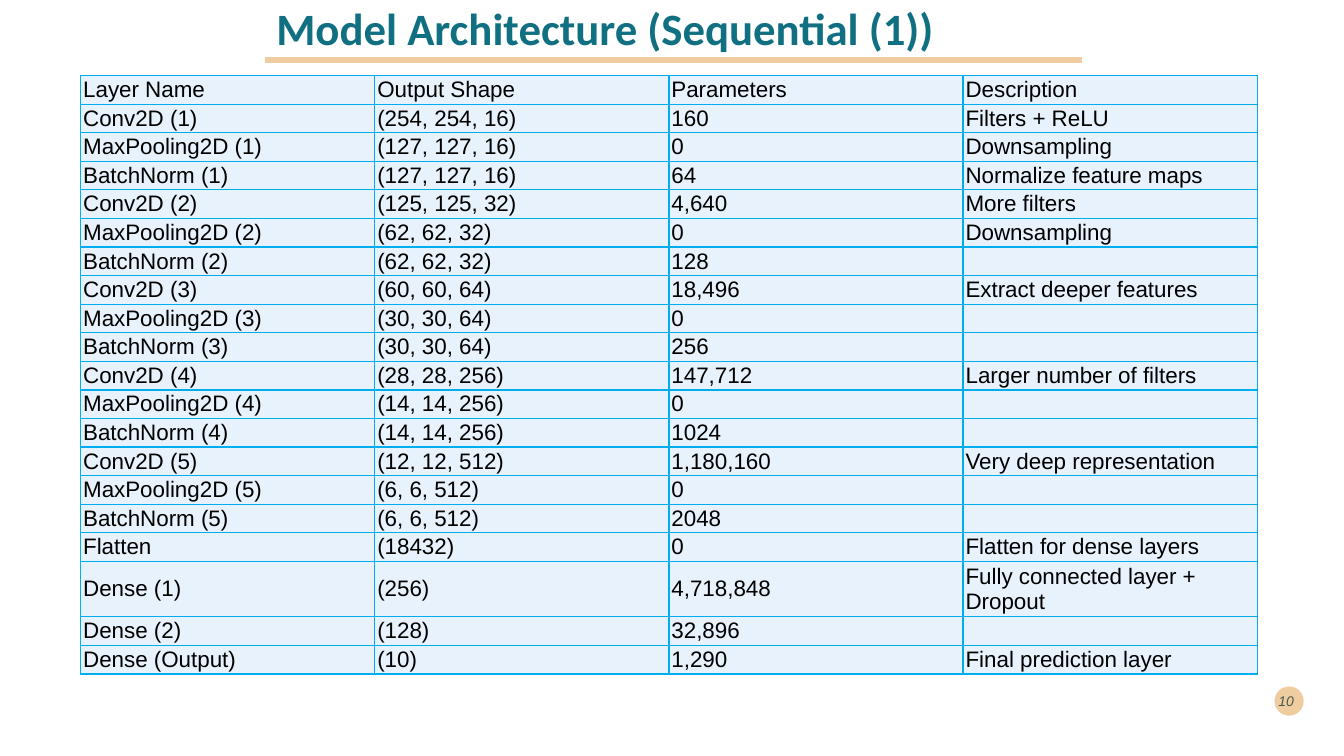
from lxml.etree import SubElement
from pptx import Presentation
from pptx.dml.color import RGBColor
from pptx.enum.shapes import MSO_SHAPE as SHAPE
from pptx.enum.text import MSO_ANCHOR as ANCHOR, PP_ALIGN as ALIGN
from pptx.oxml.ns import qn
from pptx.util import Inches, Pt

TITLE = "Model Architecture (Sequential (1))"
PAGE = "10"
ROWS = [
    ("Layer Name", "Output Shape", "Parameters", "Description"),
    ("Conv2D (1)", "(254, 254, 16)", "160", "Filters + ReLU"),
    ("MaxPooling2D (1)", "(127, 127, 16)", "0", "Downsampling"),
    ("BatchNorm (1)", "(127, 127, 16)", "64", "Normalize feature maps"),
    ("Conv2D (2)", "(125, 125, 32)", "4,640", "More filters"),
    ("MaxPooling2D (2)", "(62, 62, 32)", "0", "Downsampling"),
    ("BatchNorm (2)", "(62, 62, 32)", "128", ""),
    ("Conv2D (3)", "(60, 60, 64)", "18,496", "Extract deeper features"),
    ("MaxPooling2D (3)", "(30, 30, 64)", "0", ""),
    ("BatchNorm (3)", "(30, 30, 64)", "256", ""),
    ("Conv2D (4)", "(28, 28, 256)", "147,712", "Larger number of filters"),
    ("MaxPooling2D (4)", "(14, 14, 256)", "0", ""),
    ("BatchNorm (4)", "(14, 14, 256)", "1024", ""),
    ("Conv2D (5)", "(12, 12, 512)", "1,180,160", "Very deep representation"),
    ("MaxPooling2D (5)", "(6, 6, 512)", "0", ""),
    ("BatchNorm (5)", "(6, 6, 512)", "2048", ""),
    ("Flatten", "(18432)", "0", "Flatten for dense layers"),
    ("Dense (1)", "(256)", "4,718,848", "Fully connected layer + Dropout"),
    ("Dense (2)", "(128)", "32,896", ""),
    ("Dense (Output)", "(10)", "1,290", "Final prediction layer"),
]
TALL = 17  # row whose description takes two lines

TEAL = RGBColor(0x10, 0x70, 0x82)
SAND = RGBColor(0xF0, 0xCD, 0xA1)
INK = RGBColor(0x00, 0x29, 0x2E)
BLACK = RGBColor(0, 0, 0)
PALE = RGBColor(0xE7, 0xF2, 0xFC)
CYAN = RGBColor(0x00, 0xAE, 0xEF)

LEFT, TOP, WIDTH, HEIGHT = 0.8, 0.75, 11.67, 5.93
TALL_H = 0.54
ROW_H = (HEIGHT - TALL_H) / (len(ROWS) - 1)


def write(frame, text, size=16, font="Arial", color=BLACK, bold=False,
          italic=False, align=ALIGN.LEFT, space=None, alpha=None):
    para = frame.paragraphs[0]
    para.alignment = align
    para.line_spacing = space
    if not text:  # keeps an empty cell at the text size
        SubElement(para._p, qn("a:endParaRPr"), sz=str(size * 100))
        return
    run = para.add_run()
    run.text = text
    style = run.font
    style.size, style.name = Pt(size), font
    style.bold, style.italic = bold, italic
    style.color.rgb = color
    if alpha:
        tone = run._r.find(".//" + qn("a:srgbClr"))
        SubElement(tone, qn("a:alpha"), val=str(alpha * 1000))


def edge(cell):
    props = cell._tc.get_or_add_tcPr()
    for side in ("lnL", "lnR", "lnT", "lnB"):
        line = SubElement(props, qn("a:" + side), w=str(Pt(1)))
        fill = SubElement(line, qn("a:solidFill"))
        SubElement(fill, qn("a:srgbClr"), val=str(CYAN))


deck = Presentation()
deck.slide_width, deck.slide_height = Inches(13.33), Inches(7.5)
slide = deck.slides.add_slide(deck.slide_layouts[5])
shapes = slide.shapes

# Page number on its disc
disc = shapes.add_shape(SHAPE.OVAL, Inches(12.64), Inches(6.81),
                        Inches(0.29), Inches(0.29))
disc.shadow.inherit = False
disc.fill.solid()
disc.fill.fore_color.rgb = SAND
disc.line.fill.background()
page = shapes.add_textbox(Inches(12.54), Inches(6.75),
                          Inches(0.39), Inches(0.4)).text_frame
page.word_wrap = True
page.vertical_anchor = ANCHOR.MIDDLE
write(page, PAGE, size=10, color=INK, italic=True, align=ALIGN.RIGHT, alpha=70)

# Title
title = shapes.title
title.left, title.top = Inches(2.64), Inches(-0.42)
title.width, title.height = Inches(11.5), Inches(1.45)
title.text_frame.vertical_anchor = ANCHOR.MIDDLE
write(title.text_frame, TITLE, size=32, font="Calibri", color=TEAL,
      bold=True, space=0.9)

# Layer table
table = shapes.add_table(len(ROWS), len(ROWS[0]), Inches(LEFT), Inches(TOP),
                         Inches(WIDTH), Inches(HEIGHT)).table
table.first_row = table.horz_banding = False
for col in table.columns:
    col.width = Inches(WIDTH / len(ROWS[0]))
for i, row in enumerate(ROWS):
    table.rows[i].height = Inches(TALL_H if i == TALL else ROW_H)
    for j, text in enumerate(row):
        cell = table.cell(i, j)
        cell.margin_left = cell.margin_right = Pt(1.8)
        cell.margin_top = cell.margin_bottom = Pt(0.6)
        cell.vertical_anchor = ANCHOR.MIDDLE
        edge(cell)
        cell.fill.solid()
        cell.fill.fore_color.rgb = PALE
        write(cell.text_frame, text)

# Rule along the foot of the title band
start, end = Inches(2.63), Inches(10.73)
head, foot = Inches(-0.6), Inches(0.6)
pen = shapes.build_freeform(start, head)
pen.move_to(start, foot)
pen.add_line_segments([(end, foot)], close=False)
rule = pen.convert_to_shape()
rule.shadow.inherit = False
rule.fill.background()
rule.line.color.rgb = SAND
rule.line.width = Pt(4.32)

deck.save("out.pptx")
